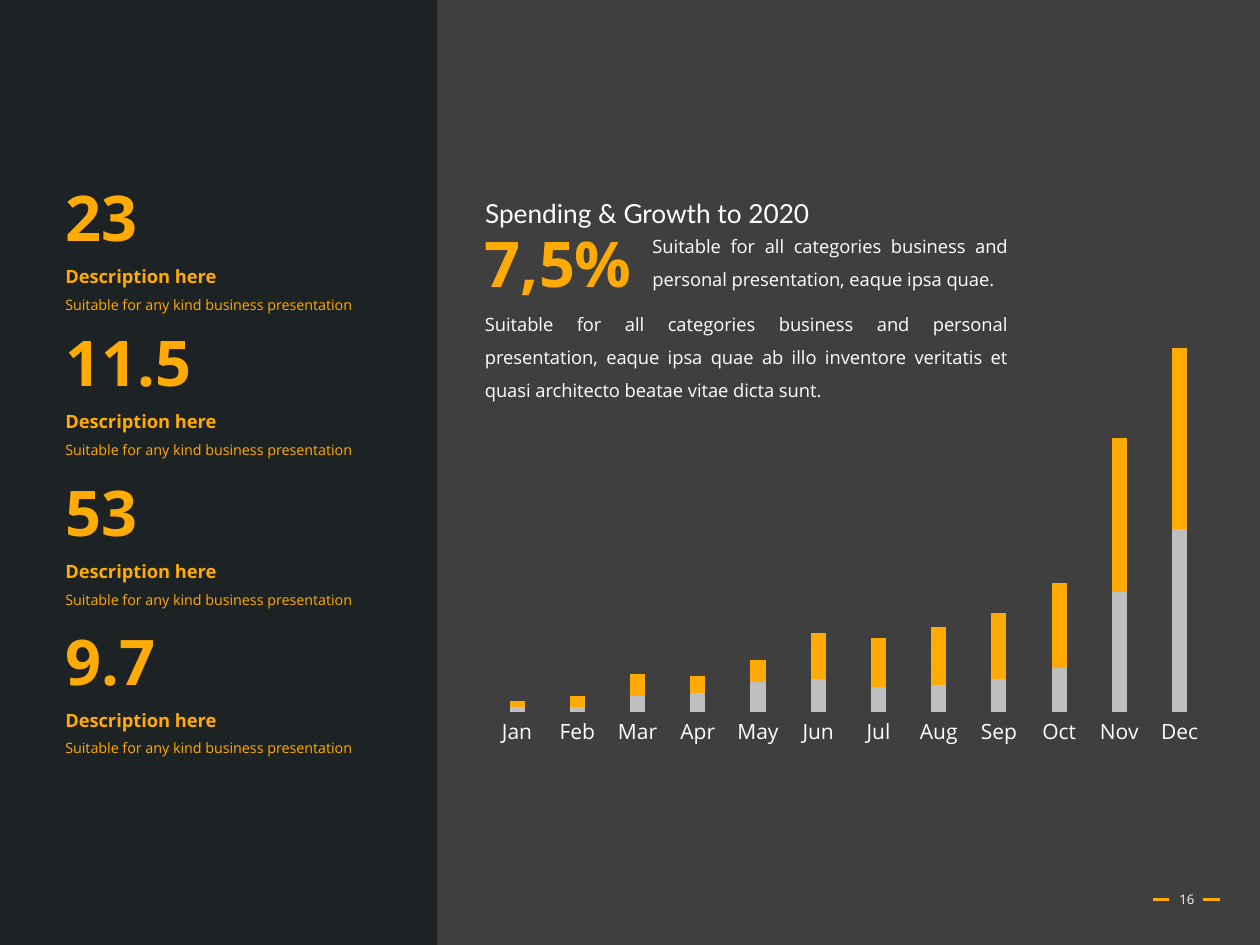
from pptx import Presentation, util as u
from pptx.chart.data import CategoryChartData
from pptx.dml.color import RGBColor
from pptx.enum import chart as ch, shapes as sh, text as tx
from pptx.oxml import parse_xml
from pptx.oxml.ns import nsdecls, qn
from lxml import etree

GOLD, WHITE, GREY, DARK, BACK = "FFAB03", "FFFFFF", "BFBFBF", "181E20", "3F3F3F"
SANS = "Open Sans"
LEFT, MID, JUST = tx.PP_ALIGN.LEFT, tx.PP_ALIGN.CENTER, tx.PP_ALIGN.JUSTIFY

BODY = dict(size=10.5, color=WHITE, align=JUST, space=1.5)
HEAD = dict(BODY, size=15, name="Lato")
BIG = dict(size=36, color=GOLD, bold=True)
LABEL = dict(BIG, size=10.5, space=1.5)
NOTE = dict(LABEL, size=8.2, bold=False)
PAGE = dict(size=7.5, color=WHITE, align=MID)

STATS = [("23", 1.37), ("11.5", 2.52), ("53", 3.71), ("9.7", 4.89)]
MONTHS = "Jan Feb Mar Apr May Jun Jul Aug Sep Oct Nov Dec".split()
SERIES = [
    ("Series 1", GREY, (2, 2, 6, 7, 11, 12, 9, 10, 12, 16, 44, 67)),
    ("Series 2", GOLD, (2, 4, 8, 6, 8, 17, 18, 21, 24, 31, 56, 100)),
]
SHORT = "Suitable for all categories business and personal presentation, eaque ipsa quae"


def paint(fill, color):
    """Make a fill solid in a hex colour."""
    fill.solid()
    fill.fore_color.rgb = RGBColor.from_string(color)


def style(font, size, color, name=SANS, bold=False):
    """Set the font values."""
    values = dict(size=u.Pt(size), name=name, bold=bold)
    for key, value in values.items():
        setattr(font, key, value)
    paint(font.fill, color)


def place(shape, *box):
    """Put a shape at left, top, width, height in inches."""
    for key, value in zip(("left", "top", "width", "height"), box):
        setattr(shape, key, u.Inches(value))


def write(shape, lines, wrap=True, anchor=tx.MSO_ANCHOR.TOP,
          fit=tx.MSO_AUTO_SIZE.SHAPE_TO_FIT_TEXT):
    """Fill a shape with (text, format) paragraphs."""
    frame = shape.text_frame
    values = dict(word_wrap=wrap, vertical_anchor=anchor, auto_size=fit)
    for key, value in values.items():
        setattr(frame, key, value)
    for i, (words, form) in enumerate(lines):
        form = dict(form)
        para = frame.add_paragraph() if i else frame.paragraphs[0]
        para.alignment = form.pop("align", LEFT)
        para.line_spacing = form.pop("space", 1.0)
        run = para.add_run()
        run.text = words
        style(run.font, **form)


def add_text(slide, box, lines, **opts):
    """Add a text box."""
    shape = slide.shapes.add_textbox(*map(u.Inches, box))
    write(shape, lines, **opts)


def add_panel(slide, box, color, alpha):
    """Add a see-through rectangle, alpha in percent."""
    panel = slide.shapes.add_shape(sh.MSO_SHAPE.RECTANGLE, *map(u.Inches, box))
    panel.shadow.inherit = False
    paint(panel.fill, color)
    panel.line.fill.background()
    tone = panel.element.spPr.find(".//" + qn("a:srgbClr"))
    etree.SubElement(tone, qn("a:alpha")).set("val", str(alpha * 1000))


def add_dash(slide, left, top, width):
    """Add a short gold line."""
    ends = map(u.Inches, (left, top, left + width, top))
    dash = slide.shapes.add_connector(sh.MSO_CONNECTOR.STRAIGHT, *ends)
    paint(dash.line.fill, GOLD)
    dash.line.width = u.Pt(1.75)
    etree.SubElement(dash.element.spPr, qn("a:effectLst"))


def set_plot(chart, x, y, w, h):
    """Fix the inner plot area as shares of the chart."""
    area = chart.element.find(".//" + qn("c:plotArea"))
    for old in area.findall(qn("c:layout")):
        area.remove(old)
    sizes = "".join(f'<c:{key} val="{value}"/>'
                    for key, value in zip("xywh", (x, y, w, h)))
    area.insert(0, parse_xml(
        f'<c:layout {nsdecls("c")}><c:manualLayout><c:layoutTarget val="inner"/>'
        f'<c:xMode val="edge"/><c:yMode val="edge"/>{sizes}'
        '</c:manualLayout></c:layout>'))


def add_bars(slide, box):
    """Add the stacked month chart."""
    data = CategoryChartData()
    data.categories = MONTHS
    for name, _, values in SERIES:
        data.add_series(name, values)
    chart = slide.shapes.add_chart(
        ch.XL_CHART_TYPE.COLUMN_STACKED, *map(u.Inches, box), data).chart
    chart.has_legend = chart.has_title = False
    style(chart.font, 12, WHITE)
    plot = chart.plots[0]
    for key, value in dict(gap_width=300, overlap=100, vary_by_categories=False).items():
        setattr(plot, key, value)
    for series, (_, color, _) in zip(plot.series, SERIES):
        paint(series.format.fill, color)
    months, scale = chart.category_axis, chart.value_axis
    months.major_tick_mark = ch.XL_TICK_MARK.NONE
    months.format.line.fill.background()
    style(months.tick_labels.font, 12, WHITE)
    limits = dict(visible=False, has_major_gridlines=False,
                  minimum_scale=0, maximum_scale=133)
    for key, value in limits.items():
        setattr(scale, key, value)
    set_plot(chart, 0.07, 0.125, 0.924, 0.719)


def main():
    """Build and save the slide."""
    deck = Presentation()
    deck.slide_width, deck.slide_height = u.Inches(10), u.Inches(7.5)
    slide = deck.slides.add_slide(deck.slide_layouts[5])
    paint(slide.background.fill, BACK)

    for left in (9.15, 9.55):
        add_dash(slide, left, 7.14, 0.13)
    add_text(slide, (9.2, 6.94, 0.44, 0.4), [("16", PAGE)],
             anchor=tx.MSO_ANCHOR.MIDDLE, fit=tx.MSO_AUTO_SIZE.NONE)
    add_panel(slide, (-0.01, 0, 3.48, 7.5), DARK, 85)
    add_bars(slide, (3.43, 2.26, 6.21, 4.02))

    for number, top in STATS:
        add_text(slide, (0.42, top, 2.53, 1.18), [
            (number, BIG),
            ("Description here", LABEL),
            ("Suitable for any kind business presentation", NOTE),
        ], wrap=False)

    title = slide.shapes.title
    place(title, 3.75, 1.39, 4.29, 0.48)
    write(title, [("Spending & Growth to 2020", HEAD)])
    add_text(slide, (3.75, 1.73, 1.38, 0.71), [("7,5%", BIG)], wrap=False)
    add_text(slide, (5.08, 1.73, 3.02, 0.63), [(SHORT + ".", BODY)])
    add_text(slide, (3.75, 2.35, 4.35, 0.9), [
        (SHORT + " ab illo inventore veritatis et quasi architecto "
         "beatae vitae dicta sunt.", BODY)])
    deck.save("out.pptx")


main()
